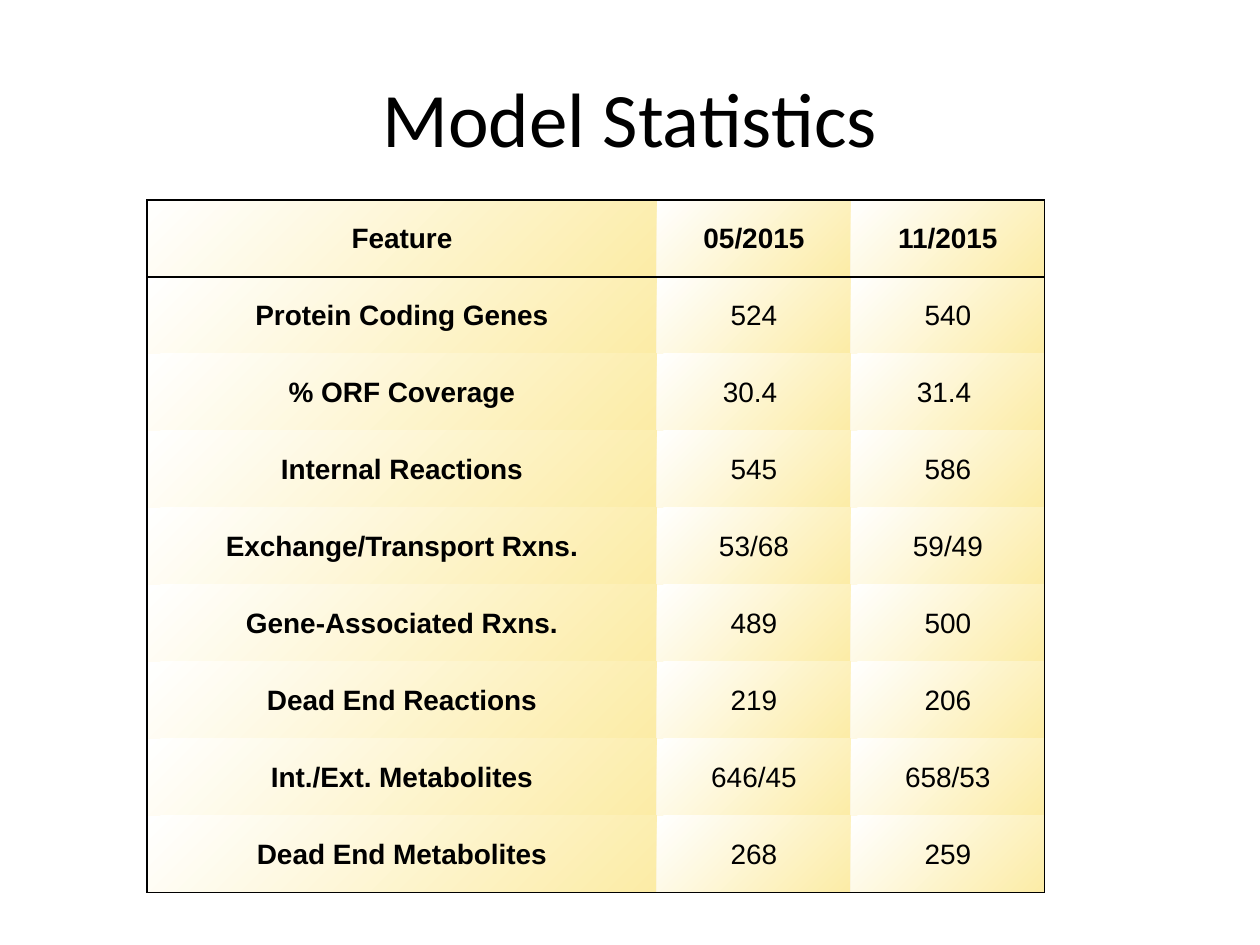
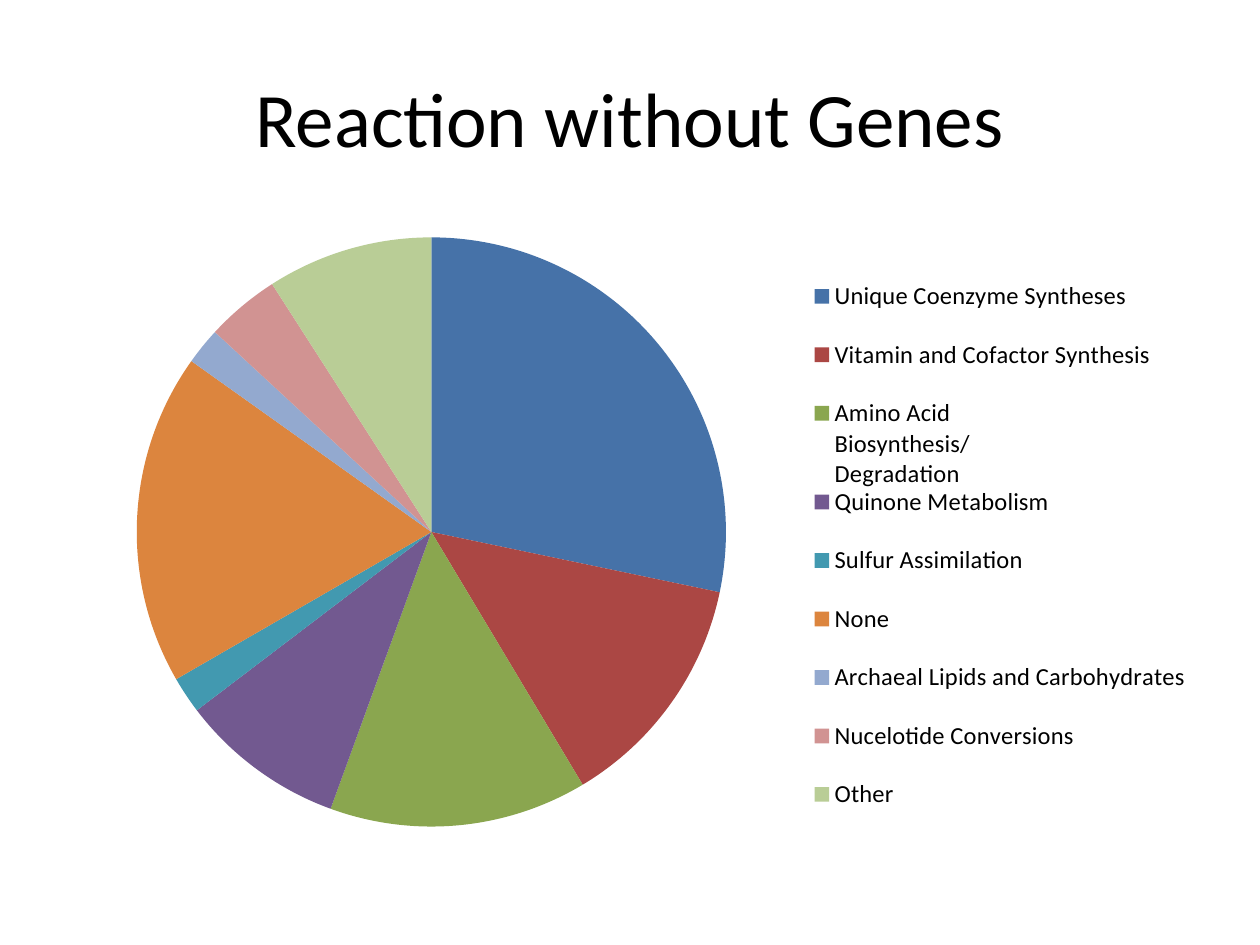
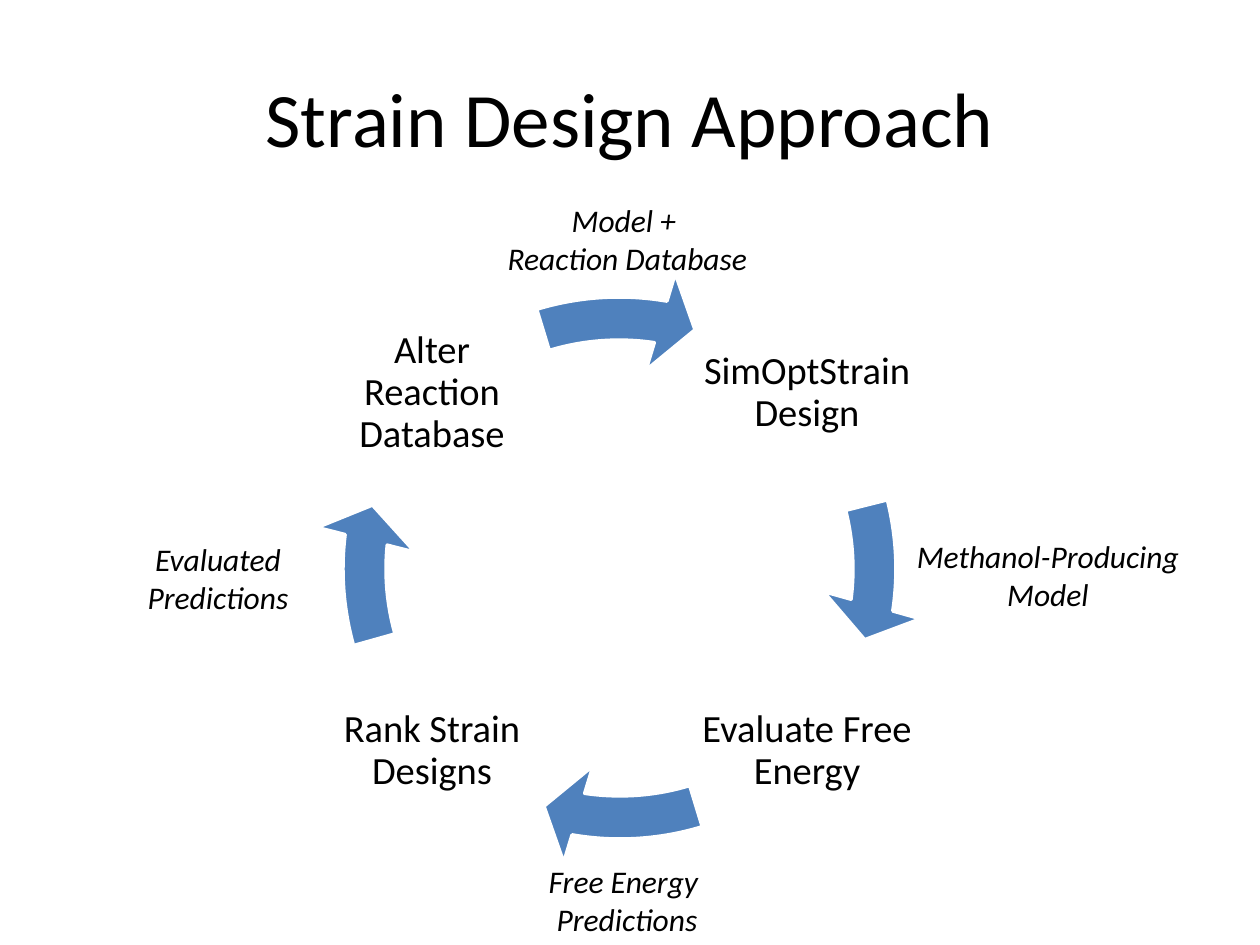
from pptx import Presentation
from pptx.chart.data import CategoryChartData
from pptx.dml.color import RGBColor
from pptx.enum.chart import XL_CHART_TYPE, XL_LEGEND_POSITION
from pptx.enum.shapes import MSO_SHAPE
from pptx.enum.text import MSO_ANCHOR, MSO_AUTO_SIZE, PP_ALIGN
from pptx.oxml import parse_xml
from pptx.oxml.ns import nsdecls
from pptx.util import Emu, Pt

PIE = XL_CHART_TYPE.PIE
LEGEND_RIGHT = XL_LEGEND_POSITION.RIGHT
CIRCULAR_ARROW = MSO_SHAPE.CIRCULAR_ARROW
MIDDLE = MSO_ANCHOR.MIDDLE
FIT_SHAPE = MSO_AUTO_SIZE.SHAPE_TO_FIT_TEXT
CENTER = PP_ALIGN.CENTER

EMU_PER_PX = 914400 / 126
BLACK = RGBColor(0x00, 0x00, 0x00)
WHITE = RGBColor(0xFF, 0xFF, 0xFF)
BLUE = RGBColor(0x4F, 0x81, 0xBD)
CELL_YELLOW = RGBColor(0xFC, 0xEC, 0xA6)
BODY_FONT = "Calibri"
TABLE_FONT = "Arial"
PLAIN_TABLE_STYLE = "{2D5ABB26-0587-4C30-8999-92F81FD0307C}"

STATISTICS = [
    ("Feature", "05/2015", "11/2015"),
    ("Protein Coding Genes", "524", "540"),
    ("% ORF Coverage", "30.4 ", "31.4 "),
    ("Internal Reactions", "545", "586"),
    ("Exchange/Transport Rxns.", "53/68", "59/49"),
    ("Gene-Associated Rxns.", "489", "500"),
    ("Dead End Reactions", "219", "206"),
    ("Int./Ext. Metabolites", "646/45", "658/53"),
    ("Dead End Metabolites", "268", "259"),
]
COLUMN_WIDTHS = (510, 194, 194)
ROW_HEIGHT = 77
BORDER_WIDTHS = {"L": Pt(1), "R": Pt(0.75), "T": Pt(0.75), "B": Pt(0.75)}

REACTION_GROUPS = [
    ("Unique Coenzyme Syntheses", 28, RGBColor(0x46, 0x72, 0xA8)),
    ("Vitamin and Cofactor Synthesis", 13, RGBColor(0xAB, 0x47, 0x44)),
    ("Amino Acid Biosynthesis/Degradation", 14, RGBColor(0x8A, 0xA6, 0x4F)),
    ("Quinone Metabolism", 9, RGBColor(0x72, 0x59, 0x90)),
    ("Sulfur Assimilation", 2, RGBColor(0x42, 0x99, 0xB0)),
    ("None", 18, RGBColor(0xDC, 0x85, 0x3E)),
    ("Archaeal Lipids and Carbohydrates", 2, RGBColor(0x93, 0xA9, 0xCF)),
    ("Nucelotide Conversions", 4, RGBColor(0xD1, 0x93, 0x92)),
    ("Other", 9, RGBColor(0xB9, 0xCD, 0x96)),
]
CHART_BOX = (63, 220, 1134, 624)
LEGEND_BOX = (804, 253, 392, 585)

STEP_SIZE = 220
ARROW_SIZE = 624
# Step text, its left and top, then the next arrow's left, top, head and tail angles
CYCLE = [
    ("SimOptStrain Design", 697, 283, 301, 257, 7.94, 345.85),
    ("Evaluate Free Energy", 697, 641, 308, 244, 99.15, 73.09),
    ("Rank Strain Designs", 322, 641, 314, 257, 186.4, 164.3),
    ("Alter Reaction Database", 322, 283, 307, 268, 279.15, 253.09),
]
CYCLE_LABELS = [
    (("Model + ", "Reaction Database"), 494, 195, 267),
    (("Methanol-Producing ", "Model "), 903, 531, 297),
    (("Free Energy ", "Predictions"), 535, 856, 184),
    (("Evaluated", "Predictions"), 134, 534, 168),
]


def px(length):
    return Emu(round(length * EMU_PER_PX))


def box(left, top, width, height):
    return px(left), px(top), px(width), px(height)


def format_font(font, size, name=BODY_FONT, bold=False, italic=False):
    font.name, font.size = name, Pt(size)
    font.bold, font.italic = bold, italic
    font.color.rgb = BLACK


def write_lines(text_frame, lines, size, line_spacing=None, **style):
    """Fill a text frame with one centred paragraph per line."""
    for index, line in enumerate(lines):
        paragraph = text_frame.add_paragraph() if index else text_frame.paragraphs[0]
        paragraph.alignment = CENTER
        paragraph.line_spacing = line_spacing
        run = paragraph.add_run()
        run.text = line
        format_font(run.font, size, **style)


def add_titled_slide(presentation, title):
    slide = presentation.slides.add_slide(presentation.slide_layouts[5])
    shape = slide.shapes.title
    shape.left, shape.top, shape.width, shape.height = box(63, 38, 1134, 158)
    shape.text_frame.vertical_anchor = MIDDLE
    write_lines(shape.text_frame, [title], 44)
    return slide


def style_cell(cell, sides):
    """Draw black borders on the given sides (from L, R, T, B) and a corner gradient."""
    properties = cell._tc.get_or_add_tcPr()
    for side in sides:
        properties.append(parse_xml(
            f'<a:ln{side} {nsdecls("a")} w="{BORDER_WIDTHS[side]}"><a:solidFill>'
            f'<a:srgbClr val="{BLACK}"/></a:solidFill></a:ln{side}>'))
    properties.append(parse_xml(
        f'<a:gradFill {nsdecls("a")} rotWithShape="0"><a:gsLst>'
        f'<a:gs pos="0"><a:srgbClr val="{CELL_YELLOW}"/></a:gs>'
        f'<a:gs pos="100000"><a:srgbClr val="{WHITE}"/></a:gs></a:gsLst>'
        '<a:path path="circle"><a:fillToRect l="100000" t="100000"/></a:path>'
        '</a:gradFill>'))


def border_sides(row, column):
    last_row, last_column = len(STATISTICS) - 1, len(COLUMN_WIDTHS) - 1
    rules = [("L", column == 0), ("R", column == last_column),
             ("T", row == 0), ("B", row in (0, last_row))]
    return [side for side, drawn in rules if drawn]


def add_statistics_table(slide):
    row_count = len(STATISTICS)
    frame = slide.shapes.add_table(
        row_count, len(COLUMN_WIDTHS),
        *box(147, 200, sum(COLUMN_WIDTHS), row_count * ROW_HEIGHT))
    table = frame.table
    table.first_row = table.horz_banding = False
    table._tbl.tblPr.find("{*}tableStyleId").text = PLAIN_TABLE_STYLE
    for column, width in zip(table.columns, COLUMN_WIDTHS):
        column.width = px(width)
    for row, values in enumerate(STATISTICS):
        table.rows[row].height = px(ROW_HEIGHT)
        for column, value in enumerate(values):
            cell = table.cell(row, column)
            cell.margin_left = cell.margin_right = cell.margin_top = px(1)
            cell.margin_bottom = 0
            cell.vertical_anchor = MIDDLE
            write_lines(cell.text_frame, [value], 16, name=TABLE_FONT,
                        bold=row == 0 or column == 0)
            style_cell(cell, border_sides(row, column))


def place_legend(legend):
    """Fix the legend's place, given as fractions of the chart's box."""
    chart_left, chart_top, chart_width, chart_height = CHART_BOX
    left, top, width, height = LEGEND_BOX
    fractions = [("x", (left - chart_left) / chart_width),
                 ("y", (top - chart_top) / chart_height),
                 ("w", width / chart_width), ("h", height / chart_height)]
    modes = '<c:xMode val="edge"/><c:yMode val="edge"/>'
    values = "".join(f'<c:{key} val="{value:.4f}"/>' for key, value in fractions)
    legend._element.find("{*}legendPos").addnext(parse_xml(
        f'<c:layout {nsdecls("c")}><c:manualLayout>{modes}{values}'
        '</c:manualLayout></c:layout>'))


def add_reaction_pie(slide):
    names, values, colors = zip(*REACTION_GROUPS)
    chart_data = CategoryChartData()
    chart_data.categories = names
    chart_data.add_series("Series 1", values)
    chart = slide.shapes.add_chart(PIE, *box(*CHART_BOX), chart_data).chart
    format_font(chart.font, 10)
    chart.has_title = False
    chart.has_legend = True
    chart.legend.position = LEGEND_RIGHT
    chart.legend.include_in_layout = False
    format_font(chart.legend.font, 14)
    place_legend(chart.legend)
    plot = chart.plots[0]
    plot.vary_by_categories = True
    for index, color in enumerate(colors):
        point_format = plot.series[0].points[index].format
        point_format.fill.solid()
        point_format.fill.fore_color.rgb = color
        point_format.line.fill.background()


def add_step(slide, text, left, top):
    text_frame = slide.shapes.add_textbox(
        *box(left, top, STEP_SIZE, STEP_SIZE)).text_frame
    text_frame.word_wrap = True
    text_frame.vertical_anchor = MIDDLE
    text_frame.margin_left = text_frame.margin_right = px(4)
    text_frame.margin_top = text_frame.margin_bottom = px(4)
    write_lines(text_frame, [text], 22, line_spacing=0.9)


def add_cycle_arrow(slide, left, top, head_angle, tail_angle):
    """Add an arc arrow running clockwise between two angles in degrees."""
    shape = slide.shapes.add_shape(
        CIRCULAR_ARROW, *box(left, top, ARROW_SIZE, ARROW_SIZE))
    shape.shadow.inherit = False
    shape.fill.solid()
    shape.fill.fore_color.rgb = BLUE
    shape.line.color.rgb = WHITE
    shape.line.width = Pt(2)
    # Angles are stored in 1/60000 degree, adjustments are scaled by 100000
    angles = [angle * 0.6 for angle in (7.76, head_angle, tail_angle)]
    for index, value in enumerate([6.9 / 100, *angles, 8.1 / 100]):
        shape.adjustments[index] = value


def add_cycle_label(slide, lines, left, top, width):
    text_frame = slide.shapes.add_textbox(*box(left, top, width, 89)).text_frame
    text_frame.word_wrap = False
    text_frame.auto_size = FIT_SHAPE
    write_lines(text_frame, lines, 18, italic=True)


def main():
    presentation = Presentation()
    presentation.slide_width, presentation.slide_height = px(1260), px(945)

    add_statistics_table(add_titled_slide(presentation, "Model Statistics"))
    add_reaction_pie(add_titled_slide(presentation, "Reaction without Genes"))

    slide = add_titled_slide(presentation, "Strain Design Approach")
    for text, left, top, *arrow in CYCLE:
        add_step(slide, text, left, top)
        add_cycle_arrow(slide, *arrow)
    for label in CYCLE_LABELS:
        add_cycle_label(slide, *label)

    presentation.save("out.pptx")


if __name__ == "__main__":
    main()
